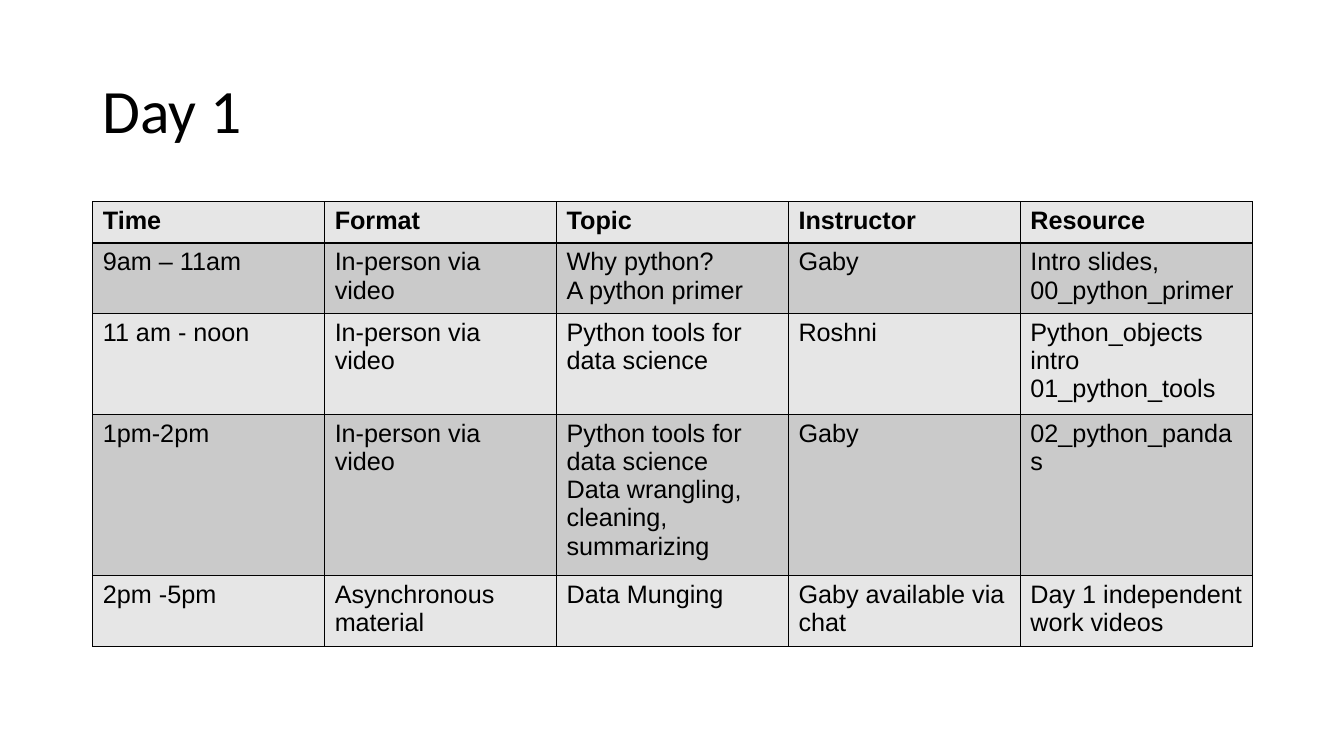
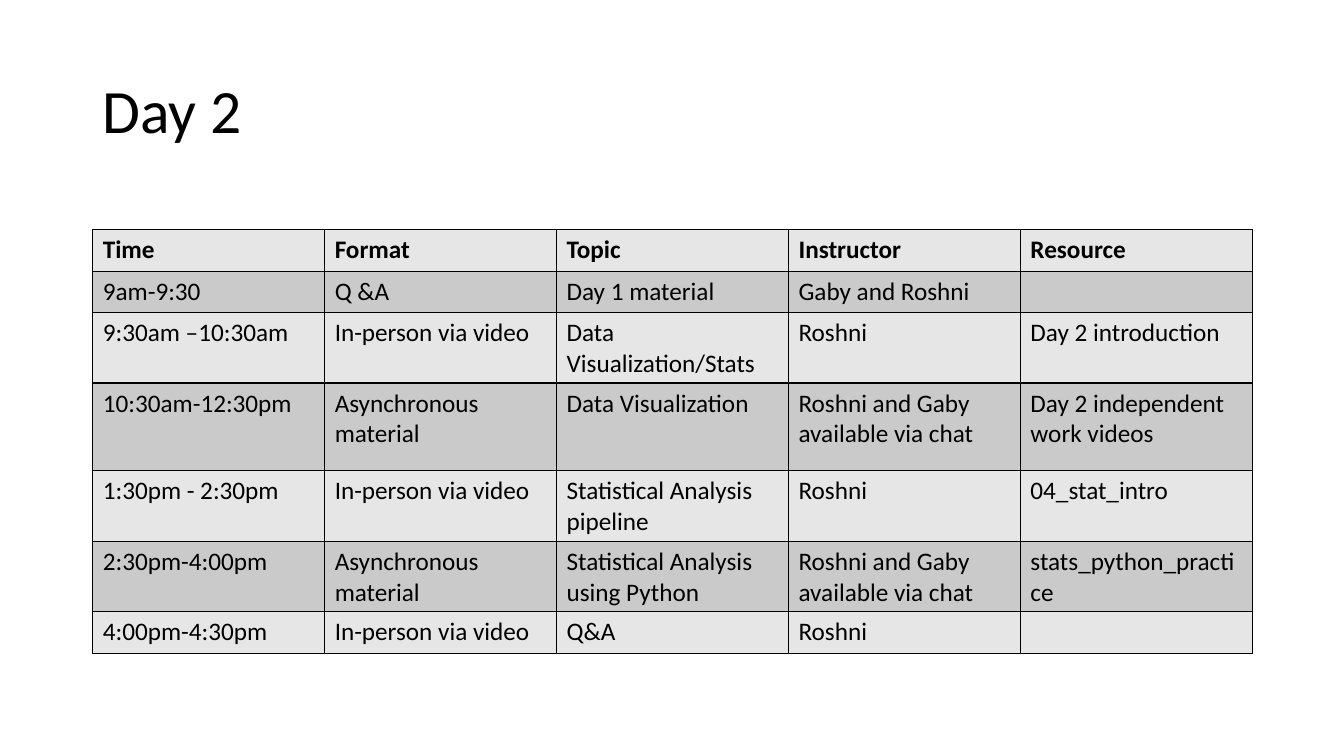
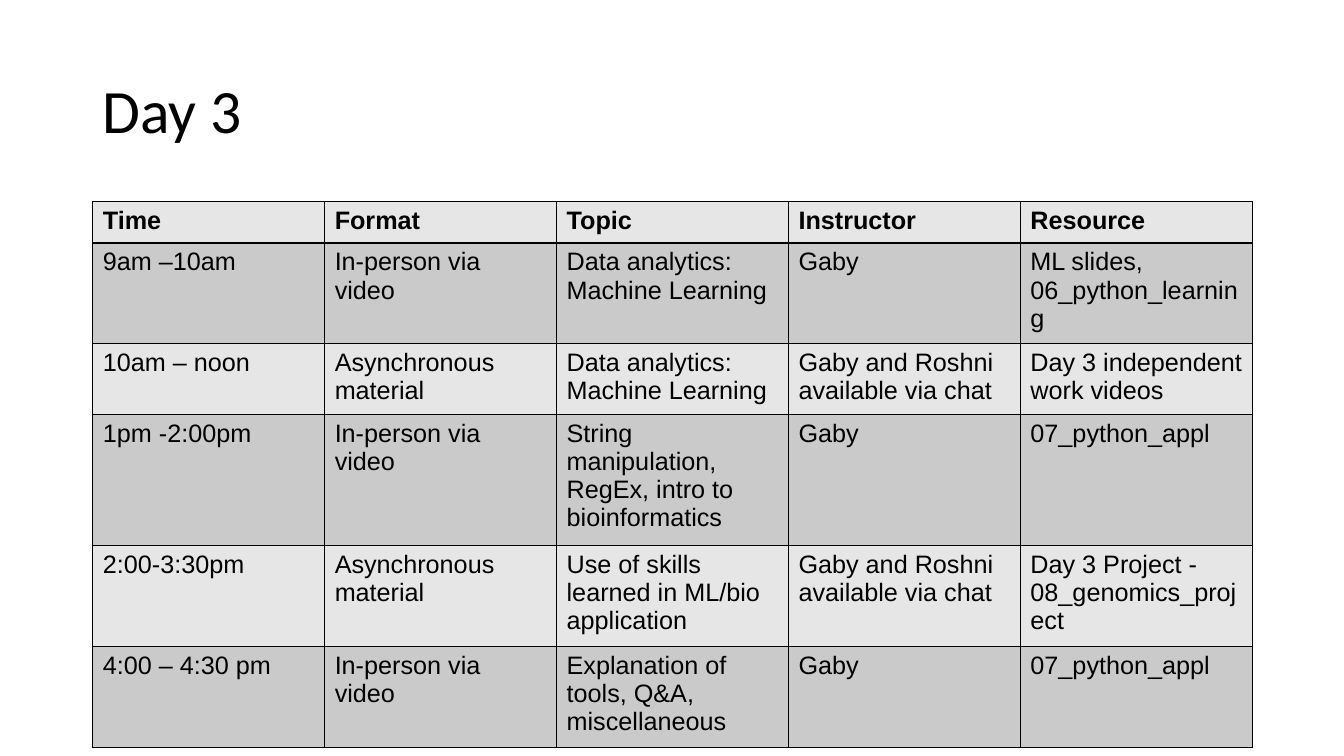
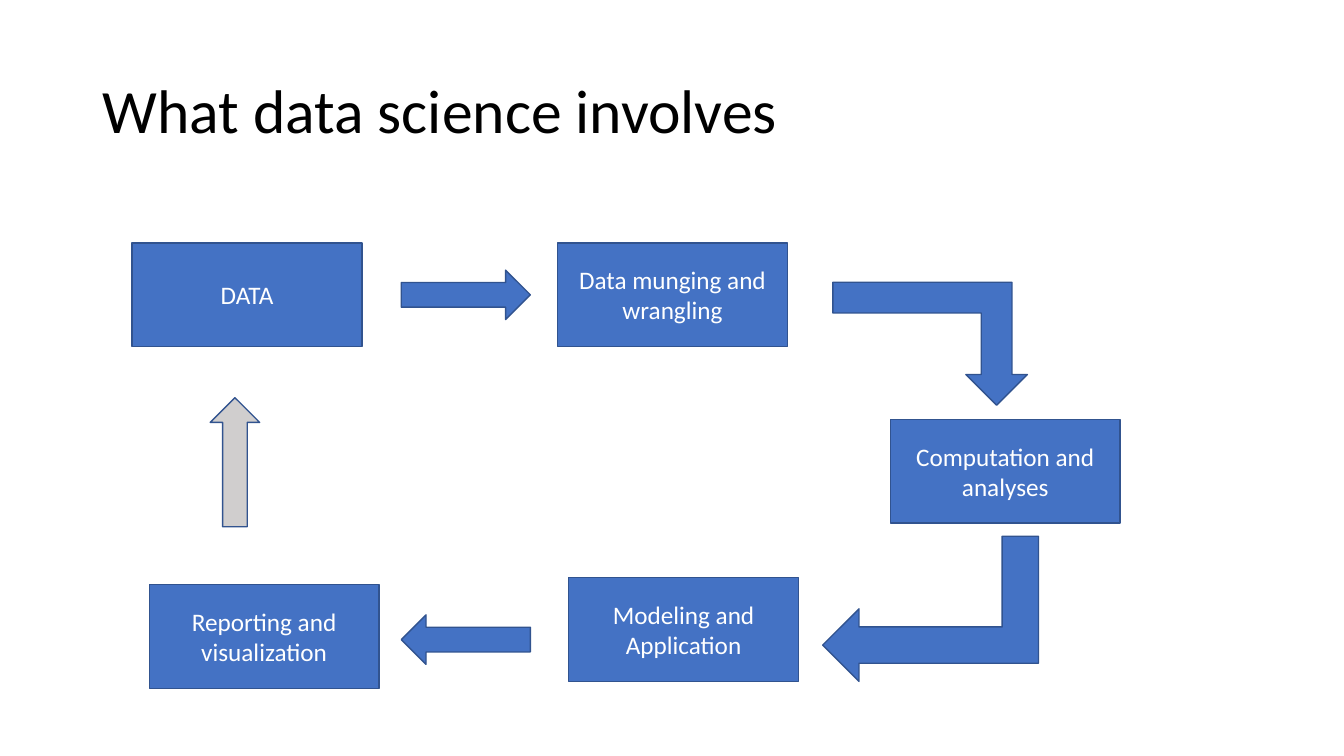
from dataclasses import dataclass

from lxml.etree import SubElement
from pptx import Presentation
from pptx.dml.color import RGBColor
from pptx.enum.shapes import MSO_SHAPE as Preset
from pptx.enum.text import MSO_ANCHOR as Anchor, PP_ALIGN as Align
from pptx.oxml.ns import qn
from pptx.presentation import Presentation as Deck
from pptx.slide import Slide
from pptx.table import _Cell as Cell
from pptx.text.text import TextFrame
from pptx.util import Emu, Pt

EMU_PER_PX = 9144
COLORS = {
    "black": "000000",
    "white": "FFFFFF",
    "light_row": "E6E6E6",
    "dark_row": "CACACA",
    "blue": "4472C4",
    "outline": "31538F",
    "gray": "D0CECE",
}
TITLE_FONT = "Calibri"
BODY_SIZE = 18
MARGIN = 92
COLUMN_WIDTH = 230
ROW_HEIGHT = 41
BOX_WIDTH, BOX_HEIGHT = 228, 103
ARROW_WIDTH, ARROW_HEIGHT = 128, 49
HEADER = ("Time", "Format", "Topic", "Instructor", "Resource")
LIVE = "In-person via video"
SELF_PACED = "Asynchronous material"


@dataclass(frozen=True)
class Schedule:
    title: str
    top: int
    font: str
    sessions: list[tuple[str, ...]]
    heights: tuple[int, ...] = ()


@dataclass(frozen=True)
class Step:
    text: str
    left: int
    top: int


@dataclass(frozen=True)
class Arrow:
    left: int
    top: int
    width: int = ARROW_WIDTH
    height: int = ARROW_HEIGHT
    rotation: int = 0
    bent: bool = False
    color: str = "blue"


SCHEDULES = [
    Schedule("Day 1", 200, "Arial", [
        ("9am – 11am", LIVE, "Why python?\nA python primer", "Gaby",
         "Intro slides, 00_python_primer"),
        ("11 am - noon", LIVE, "Python tools for data science", "Roshni",
         "Python_objects intro 01_python_tools"),
        ("1pm-2pm", LIVE,
         "Python tools for data science\nData wrangling, cleaning, summarizing",
         "Gaby", "02_python_pandas"),
        ("2pm -5pm", SELF_PACED, "Data Munging", "Gaby available via chat",
         "Day 1 independent work videos"),
    ]),
    Schedule("Day 2", 228, "Calibri", [
        ("9am-9:30", "Q &A", "Day 1 material", "Gaby and Roshni", ""),
        ("9:30am –10:30am", LIVE, "Data Visualization/Stats", "Roshni",
         "Day 2 introduction"),
        ("10:30am-12:30pm", SELF_PACED, "Data Visualization",
         "Roshni and Gaby available via chat", "Day 2 independent work videos"),
        ("1:30pm - 2:30pm", LIVE, "Statistical Analysis pipeline", "Roshni",
         "04_stat_intro"),
        ("2:30pm-4:00pm", SELF_PACED, "Statistical Analysis using Python",
         "Roshni and Gaby available via chat", "stats_python_practice"),
        ("4:00pm-4:30pm", LIVE, "Q&A", "Roshni", ""),
    ], (41, 41, 70, 87, 70, 70, 41)),
    Schedule("Day 3", 200, "Arial", [
        ("9am –10am", LIVE, "Data analytics: Machine Learning", "Gaby",
         "ML slides, 06_python_learning"),
        ("10am – noon", SELF_PACED, "Data analytics: Machine Learning",
         "Gaby and Roshni available via chat", "Day 3 independent work videos"),
        ("1pm -2:00pm", LIVE,
         "String manipulation, RegEx, intro to bioinformatics", "Gaby",
         "07_python_appl"),
        ("2:00-3:30pm", SELF_PACED, "Use of skills learned in ML/bio application",
         "Gaby and Roshni available via chat",
         "Day 3 Project - 08_genomics_project"),
        ("4:00 – 4:30 pm", LIVE, "Explanation of tools, Q&A, miscellaneous",
         "Gaby", "07_python_appl"),
    ]),
]
STEPS = [
    Step("DATA", 131, 241),
    Step("Data munging and wrangling", 553, 241),
    Step("Computation and analyses", 883, 416),
    Step("Modeling and Application", 564, 573),
    Step("Reporting and visualization", 148, 580),
]
ARROWS = [
    Arrow(398, 268),
    Arrow(826, 280, 193, 122, 180, bent=True),
    Arrow(851, 497, 144, 214, 270, bent=True),
    Arrow(398, 610, rotation=180),
    Arrow(169, 434, rotation=270, color="gray"),
]


def px(value: int) -> Emu:
    return Emu(value * EMU_PER_PX)


def rgb(name: str) -> RGBColor:
    return RGBColor.from_string(COLORS[name])


def format_text(frame: TextFrame, font: str, size: int, color: str,
                bold: bool = False) -> None:
    for paragraph in frame.paragraphs:
        for run in paragraph.runs:
            run.font.name = font
            run.font.size = Pt(size)
            run.font.bold = bold
            run.font.color.rgb = rgb(color)


def add_titled_slide(presentation: Deck, title: str) -> Slide:
    slide = presentation.slides.add_slide(presentation.slide_layouts[6])
    box = slide.shapes.add_textbox(px(MARGIN), px(40), px(1150), px(145))
    frame = box.text_frame
    frame.word_wrap = True
    frame.vertical_anchor = Anchor.MIDDLE
    frame.text = title
    frame.paragraphs[0].line_spacing = 0.9
    format_text(frame, TITLE_FONT, 44, "black")
    return slide


def add_borders(cell: Cell) -> None:
    properties = cell._tc.get_or_add_tcPr()
    for side in ("a:lnL", "a:lnR", "a:lnT", "a:lnB"):
        line = SubElement(properties, qn(side), w=str(Pt(1)))
        fill = SubElement(line, qn("a:solidFill"))
        SubElement(fill, qn("a:srgbClr"), val=COLORS["black"])


def add_schedule(presentation: Deck, schedule: Schedule) -> None:
    slide = add_titled_slide(presentation, schedule.title)
    rows = [HEADER, *schedule.sessions]
    heights = schedule.heights or (ROW_HEIGHT,) * len(rows)
    table = slide.shapes.add_table(
        len(rows), len(HEADER), px(MARGIN), px(schedule.top),
        px(COLUMN_WIDTH * len(HEADER)), px(sum(heights))).table
    table.first_row = table.horz_banding = False
    for row_index, (texts, height) in enumerate(zip(rows, heights)):
        table.rows[row_index].height = px(height)
        for column_index, text in enumerate(texts):
            cell = table.cell(row_index, column_index)
            cell.text_frame.text = text
            format_text(cell.text_frame, schedule.font, BODY_SIZE, "black",
                        bold=row_index == 0)
            add_borders(cell)
            cell.fill.solid()
            cell.fill.fore_color.rgb = rgb("dark_row" if row_index % 2 else "light_row")


def add_preset(slide: Slide, preset: Preset, left: int, top: int, width: int,
               height: int, color: str):
    shape = slide.shapes.add_shape(preset, px(left), px(top), px(width), px(height))
    shape.shadow.inherit = False
    shape.fill.solid()
    shape.fill.fore_color.rgb = rgb(color)
    shape.line.color.rgb = rgb("outline")
    shape.line.width = Pt(1)
    return shape


def add_step(slide: Slide, step: Step) -> None:
    shape = add_preset(slide, Preset.RECTANGLE, step.left, step.top,
                       BOX_WIDTH, BOX_HEIGHT, "blue")
    frame = shape.text_frame
    frame.word_wrap = True
    frame.vertical_anchor = Anchor.MIDDLE
    frame.text = step.text
    frame.paragraphs[0].alignment = Align.CENTER
    format_text(frame, TITLE_FONT, BODY_SIZE, "white")


def add_arrow(slide: Slide, arrow: Arrow) -> None:
    preset = Preset.BENT_UP_ARROW if arrow.bent else Preset.RIGHT_ARROW
    shape = add_preset(slide, preset, arrow.left, arrow.top,
                       arrow.width, arrow.height, arrow.color)
    shape.rotation = arrow.rotation
    if arrow.bent:
        shape.element.spPr.find(qn("a:xfrm")).set("flipH", "1")


def main() -> None:
    presentation = Presentation()
    presentation.slide_width = px(1333)
    presentation.slide_height = px(750)
    for schedule in SCHEDULES:
        add_schedule(presentation, schedule)
    slide = add_titled_slide(presentation, "What data science involves")
    for step in STEPS:
        add_step(slide, step)
    for arrow in ARROWS:
        add_arrow(slide, arrow)
    presentation.save("out.pptx")


if __name__ == "__main__":
    main()
